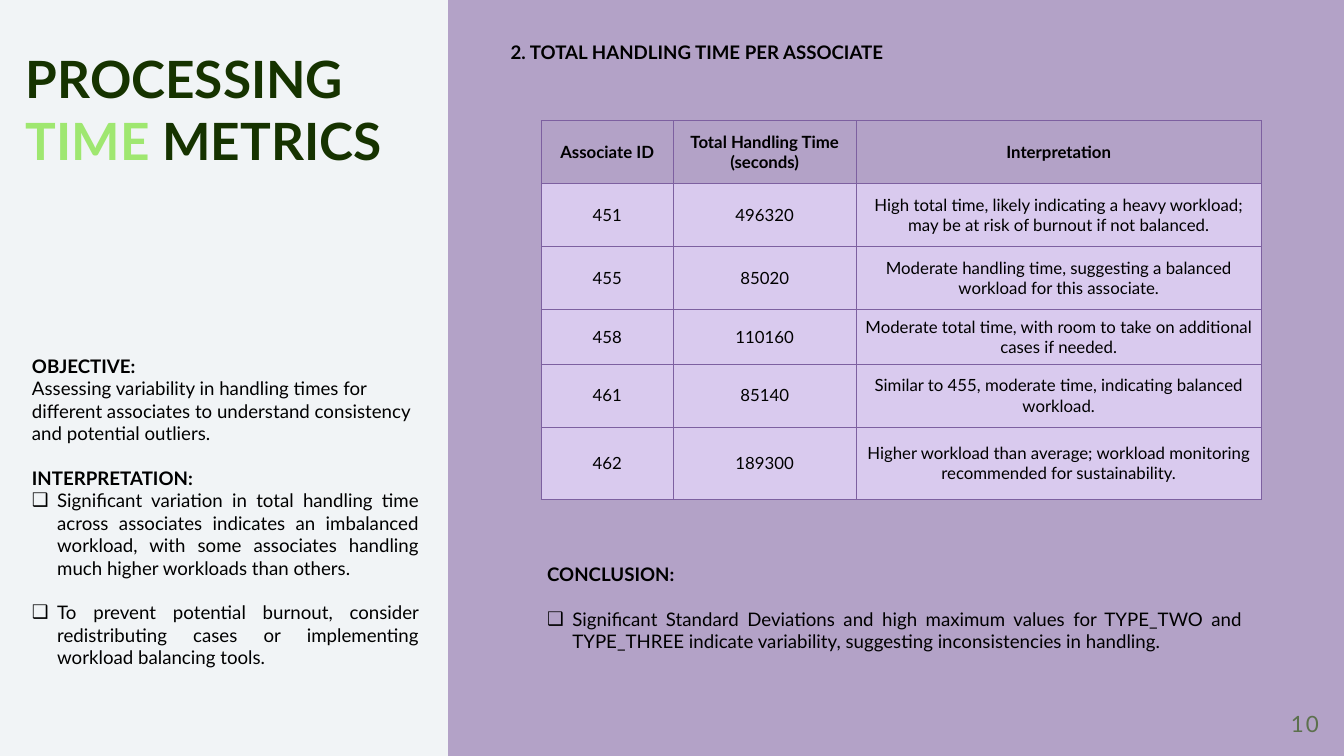
from lxml.etree import SubElement
from pptx import Presentation
from pptx.dml.color import RGBColor
from pptx.enum.shapes import MSO_SHAPE
from pptx.enum.text import MSO_ANCHOR, MSO_AUTO_SIZE, PP_ALIGN
from pptx.oxml.ns import qn
from pptx.util import Pt

PX = 9525  # EMU per px, on a 1920 x 1080 slide
FONT = "Lato"
COLORS = {
    "purple": "B3A2C7", "lilac": "D9CAEE", "border": "7D60A0", "panel": "F1F4F6",
    "black": "000000", "dark": "163300", "lime": "9FE770", "page": "5C704D",
}

TITLE = [[("PROCESSING", "dark")], [("TIME", "lime"), (" METRICS", "dark")]]
SECTION = "2. TOTAL HANDLING TIME PER ASSOCIATE"
PAGE = "10"

# (kind, text, space before in points)
FINDINGS = [
    ("head", "OBJECTIVE:", 0),
    ("plain", "Assessing variability in handling times for different associates to "
              "understand consistency and potential outliers.", 0),
    ("head", "INTERPRETATION:", 24),
    ("bullet", "Significant variation in total handling time across associates indicates "
               "an imbalanced workload, with some associates handling much higher "
               "workloads than others.", 0),
    ("bullet", "To prevent potential burnout, consider redistributing cases or "
               "implementing workload balancing tools.", 24),
]
CONCLUSION = [
    ("head", "CONCLUSION:", 0),
    ("bullet", "Significant Standard Deviations and high maximum values for TYPE_TWO and "
               "TYPE_THREE indicate variability, suggesting inconsistencies in handling.", 24),
]

ROWS = [
    ("Associate ID", "Total Handling Time (seconds)", "Interpretation"),
    ("451", "496320", "High total time, likely indicating a heavy workload; "
                      "may be at risk of burnout if not balanced."),
    ("455", "85020", "Moderate handling time, suggesting a balanced workload "
                     "for this associate."),
    ("458", "110160", "Moderate total time, with room to take on additional "
                      "cases if needed."),
    ("461", "85140", "Similar to 455, moderate time, indicating balanced workload."),
    ("462", "189300", "Higher workload than average; workload monitoring "
                      "recommended for sustainability."),
]
COL_WIDTHS = [189, 261, 579]
ROW_HEIGHTS = [90, 90, 90, 78, 90, 103]


def rgb(name):
    return RGBColor.from_string(COLORS[name])


def place(shape, *box):
    for name, px in zip(("left", "top", "width", "height"), box):
        setattr(shape, name, px * PX)


def set_frame(tf, **extra):
    frame = {"word_wrap": True, "auto_size": MSO_AUTO_SIZE.NONE,
             "vertical_anchor": MSO_ANCHOR.TOP, **extra}
    for name, value in frame.items():
        setattr(tf, name, value)


def add_run(p, text, size, color="black", bold=False):
    r = p.add_run()
    r.text = text
    for name, value in {"name": FONT, "size": Pt(size), "bold": bold}.items():
        setattr(r.font, name, value)
    r.font.color.rgb = rgb(color)
    return r


def paragraphs(tf, items):
    """Yield each item with its own paragraph, starting with the existing one."""
    for i, item in enumerate(items):
        p = tf.add_paragraph() if i else tf.paragraphs[0]
        p.line_spacing = 1
        p.space_before = Pt(0)
        yield p, item


def set_bullet(p, char=None, indent=0):
    pPr = p._p.get_or_add_pPr()
    pPr.set("marL", str(indent * PX))
    pPr.set("indent", str(-indent * PX))
    if char:
        SubElement(pPr, qn("a:buChar"), char=char)
    else:
        SubElement(pPr, qn("a:buNone"))


def fill_body(shape, items, *box):
    place(shape, *box)
    tf = shape.text_frame
    set_frame(tf)
    for p, (kind, text, before) in paragraphs(tf, items):
        p.space_before = Pt(before)
        if kind == "bullet":
            set_bullet(p, "❑", 36)
            p.alignment = PP_ALIGN.JUSTIFY
        else:
            set_bullet(p)
            p.alignment = PP_ALIGN.LEFT
        add_run(p, text, 20, bold=kind == "head")


def add_borders(cell):
    tcPr = cell._tc.get_or_add_tcPr()
    for i, side in enumerate(("lnL", "lnR", "lnT", "lnB")):
        ln = tcPr.makeelement(qn(f"a:{side}"), {"w": str(Pt(0.75))})
        fill = SubElement(ln, qn("a:solidFill"))
        SubElement(fill, qn("a:srgbClr"), val=COLORS["border"])
        tcPr.insert(i, ln)


def add_metrics_table(slide, left, top):
    box = (left, top, sum(COL_WIDTHS), sum(ROW_HEIGHTS))
    table = slide.shapes.add_table(len(ROWS), len(COL_WIDTHS), *(v * PX for v in box)).table
    for column, width in zip(table.columns, COL_WIDTHS):
        column.width = width * PX
    for r, (row, height) in enumerate(zip(ROWS, ROW_HEIGHTS)):
        table.rows[r].height = height * PX
        for c, text in enumerate(row):
            cell = table.cell(r, c)
            cell.vertical_anchor = MSO_ANCHOR.MIDDLE
            cell.fill.solid()
            cell.fill.fore_color.rgb = rgb("lilac" if r else "purple")
            add_borders(cell)
            p = cell.text_frame.paragraphs[0]
            p.alignment = PP_ALIGN.CENTER
            add_run(p, text, 18, bold=r == 0)


def add_label(slide, text, size, color, box, **frame):
    s = slide.shapes.add_textbox(*(v * PX for v in box))
    set_frame(s.text_frame, **frame)
    return add_run(s.text_frame.paragraphs[0], text, size, color)


def main():
    prs = Presentation()
    prs.slide_width, prs.slide_height = 1920 * PX, 1080 * PX
    slide = prs.slides.add_slide(prs.slide_layouts[3])
    slide.background.fill.solid()
    slide.background.fill.fore_color.rgb = rgb("purple")
    title, findings, conclusion = slide.placeholders

    panel = slide.shapes.add_shape(MSO_SHAPE.RECTANGLE, 0, 0, 640 * PX, 1080 * PX)
    panel.shadow.inherit = False
    panel.fill.solid()
    panel.fill.fore_color.rgb = rgb("panel")
    panel.line.fill.background()
    slide.shapes._spTree.insert(2, panel._element)  # behind the placeholders

    no_margins = dict.fromkeys(
        ("margin_left", "margin_top", "margin_right", "margin_bottom"), 0)
    place(title, 37, 68, 517, 269)
    set_frame(title.text_frame, **no_margins)
    for p, runs in paragraphs(title.text_frame, TITLE):
        p.alignment = PP_ALIGN.LEFT
        for text, color in runs:
            add_run(p, text, 55, color, bold=True)

    fill_body(findings, FINDINGS, 36, 502, 572, 462)
    fill_body(conclusion, CONCLUSION, 772, 799, 1012, 171)
    add_metrics_table(slide, 773, 172)

    section = add_label(slide, SECTION, 20, "black", (720, 54, 601, 42), word_wrap=False,
                        vertical_anchor=MSO_ANCHOR.MIDDLE)
    section.font.bold = True
    page = add_label(slide, PAGE, 24, "page", (1844, 1015, 59, 39), **no_margins)
    page.font._element.set("spc", "230")

    prs.save("out.pptx")


if __name__ == "__main__":
    main()
